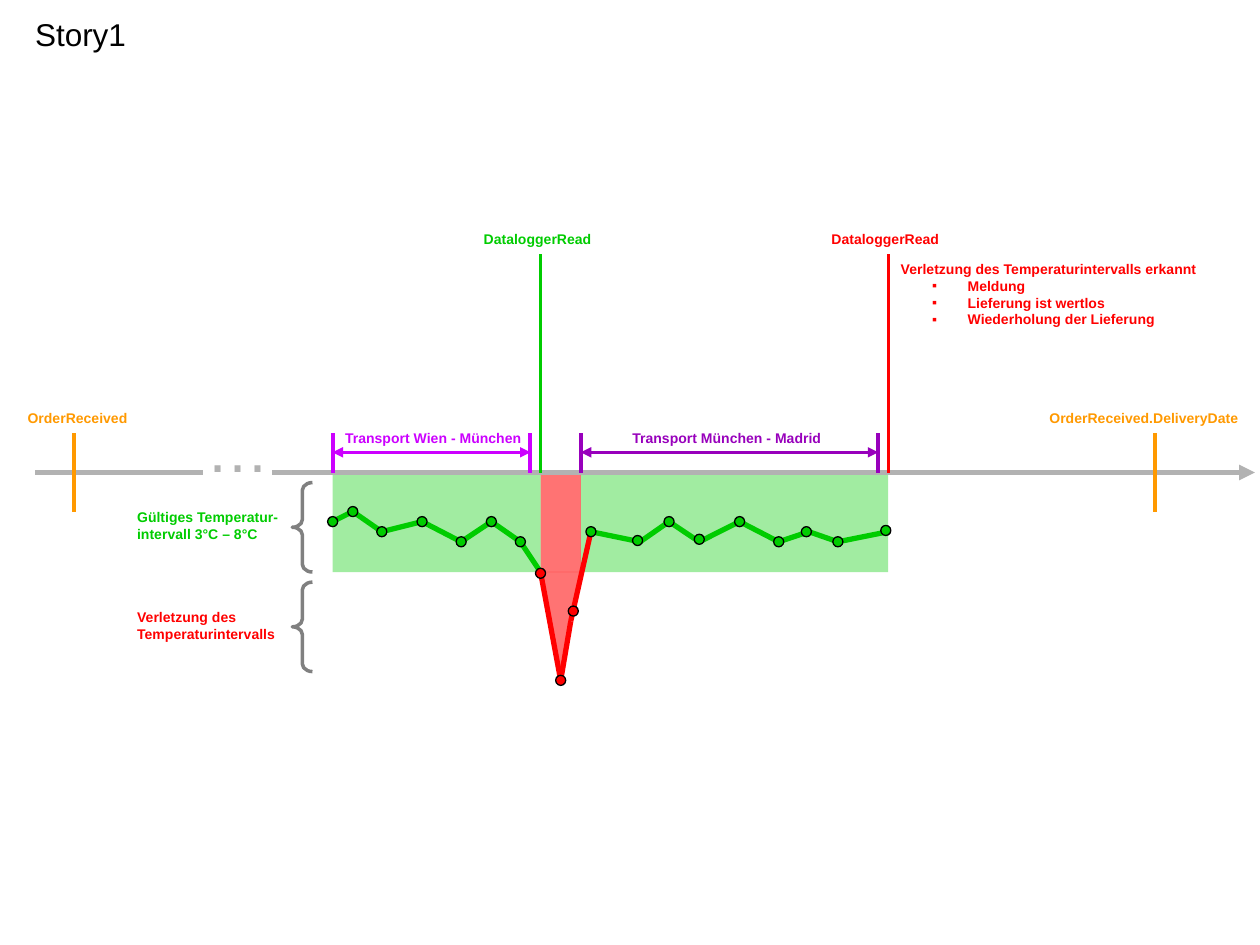
from itertools import pairwise

from lxml import etree
from pptx import Presentation
from pptx import util as u
from pptx.dml.color import RGBColor
from pptx.enum import shapes, text
from pptx.oxml.ns import qn

GREEN = RGBColor(0x00, 0xCC, 0x00)
RED = RGBColor(0xFF, 0x00, 0x00)
ORANGE = RGBColor(0xFF, 0x99, 0x00)
PINK = RGBColor(0xCC, 0x00, 0xFF)
PURPLE = RGBColor(0x98, 0x00, 0xBC)
SILVER = RGBColor(0xB2, 0xB2, 0xB2)
GRAY = RGBColor(0x80, 0x80, 0x80)
BLACK = RGBColor(0x00, 0x00, 0x00)

AXIS = 3.75
BAND = 0.79
DOT = 0.08
READINGS = [
    (0, 0.39), (0.16, 0.31), (0.39, 0.47), (0.71, 0.39), (1.02, 0.55),
    (1.26, 0.39), (1.49, 0.55), (1.65, 0.79), (1.81, 1.65), (1.89, 1.18),
    (2.05, 0.47), (2.44, 0.55), (2.67, 0.39), (2.91, 0.55), (3.23, 0.39),
    (3.54, 0.55), (3.78, 0.47), (4.01, 0.55), (4.41, 0.47),
]
VIOLATION = range(7, 10)
DOT_SHIFTS = {7: (0, 0.01), 9: (0.02, -0.08), 11: (-0.02, -0.01),
              13: (0, -0.02), 16: (-0.02, 0), 18: (-0.02, -0.01)}


def add_line(s, x1, y1, x2, y2, color, width, ends=()):
    """Draw a straight line with arrowheads at the named ends."""
    sp = s.shapes.add_connector(shapes.MSO_CONNECTOR.STRAIGHT,
                                *map(u.Inches, (x1, y1, x2, y2)))
    sp.line.color.rgb = color
    sp.line.width = u.Pt(width)
    ln = sp.line._get_or_add_ln()
    for end in ends:
        etree.SubElement(ln, qn(f"a:{end}"), type="triangle")
    etree.SubElement(sp._element.spPr, qn("a:effectLst"))


def add_area(s, kind, x, y, w, h, color=None, alpha=None, line=None, width=0.75):
    """Draw a preset shape with optional fill, transparency and outline."""
    sp = s.shapes.add_shape(kind, *map(u.Inches, (x, y, w, h)))
    sp.shadow.inherit = False
    if color is None:
        sp.fill.background()
    else:
        sp.fill.solid()
        sp.fill.fore_color.rgb = color
    if alpha:
        clr = sp._element.spPr.find(".//" + qn("a:srgbClr"))
        etree.SubElement(clr, qn("a:alpha"), val=str(alpha * 1000))
    if line is None:
        sp.line.fill.background()
    else:
        sp.line.color.rgb = line
        sp.line.width = u.Pt(width)
    return sp


def add_label(s, x, y, w, h, lines, color, size=8, bold=True, wrap=False):
    """Write one paragraph for each line and return the text frame."""
    tf = s.shapes.add_textbox(*map(u.Inches, (x, y, w, h))).text_frame
    tf.word_wrap = wrap
    tf.auto_size = text.MSO_AUTO_SIZE.SHAPE_TO_FIT_TEXT
    for i, line in enumerate(lines):
        p = tf.paragraphs[0] if i == 0 else tf.add_paragraph()
        r = p.add_run()
        r.text = line
        for name, value in {"name": "Arial", "size": u.Pt(size), "bold": bold}.items():
            setattr(r.font, name, value)
        r.font.color.rgb = color
    return tf


def add_bullet(p, color):
    """Turn a paragraph into a second-level bullet."""
    p.level = 1
    pPr = p._p.get_or_add_pPr()
    pPr.set("marL", str(u.Inches(0.5)))
    pPr.set("indent", str(u.Inches(-0.25)))
    clr = etree.SubElement(pPr, qn("a:buClr"))
    etree.SubElement(clr, qn("a:srgbClr"), val=str(color))
    etree.SubElement(pPr, qn("a:buFont"), typeface="Arial")
    etree.SubElement(pPr, qn("a:buChar"), char="▪")


def draw_bands(s, x, y):
    """Shade the valid range and the gap between the two transports."""
    rect = shapes.MSO_SHAPE.RECTANGLE
    for left, width, color, alpha in ((1.97, 2.44, GREEN, 37),
                                      (1.65, 0.32, RED, 55),
                                      (0, 1.65, GREEN, 37)):
        add_area(s, rect, x + left, y, width, BAND, color, alpha)


def draw_axis(s, x, y):
    """Draw the interrupted time axis."""
    add_line(s, x, y, x + 1.33, y, SILVER, 3)
    add_label(s, x + 1.26, y - 0.55, 0.7, 0.7, ["…"], SILVER, 36, False)
    add_line(s, x + 1.88, y, x + 9.68, y, SILVER, 3, ["tailEnd"])


def draw_order(s, x, y, name, left, width):
    """Mark an order event across the axis."""
    add_line(s, x, y - 0.31, x, y + 0.31, ORANGE, 2.25)
    add_label(s, left, y - 0.55, width, 0.24, [name], ORANGE)


def draw_transport(s, x, y, w, name, offset, label_width, color):
    """Draw a transport span with its end bars and label."""
    add_line(s, x, y - 0.16, x + w, y - 0.16, color, 1.5, ["headEnd", "tailEnd"])
    for bar in (x, x + w):
        add_line(s, bar, y - 0.31, bar, y, color, 2.25)
    add_label(s, x + offset, y - 0.39, label_width, 0.24, [name], color)


def draw_logger(s, x, y, color):
    """Mark a reading of the data logger above the axis."""
    add_line(s, x, y - 1.73, x, y, color, 2)
    add_label(s, x - 0.55, y - 1.97, 1.08, 0.24, ["DataloggerRead"], color)


def draw_alert(s, x, y):
    """List the consequences of the violation."""
    lines = ["Verletzung des Temperaturintervalls erkannt", " Meldung",
             " Lieferung ist wertlos", " Wiederholung der Lieferung"]
    tf = add_label(s, x, y, 2.95, 0.64, lines, RED, wrap=True)
    for p in tf.paragraphs[1:]:
        add_bullet(p, RED)


def draw_range(s, x, y, lines, color):
    """Draw a brace with the name of its temperature range."""
    sp = add_area(s, shapes.MSO_SHAPE.LEFT_BRACE, x + 1.33, y, 0.16, 0.71,
                  line=GRAY, width=2)
    sp.adjustments[0] = 0.38
    add_label(s, x, y + 0.16, 1.33, 0.37, lines, color)


def draw_readings(s, x, y):
    """Plot the temperature curve with a dot for each reading."""
    sp = add_area(s, shapes.MSO_SHAPE.ISOSCELES_TRIANGLE, x + 1.65, y + BAND,
                  0.31, 0.87, RED, 55)
    sp._element.spPr.find(qn("a:xfrm")).set("flipV", "1")
    for i, ((x1, y1), (x2, y2)) in enumerate(pairwise(READINGS)):
        color = RED if i in VIOLATION else GREEN
        add_line(s, x + x1, y + y1, x + x2, y + y2, color, 3)
    for i, (px, py) in enumerate(READINGS):
        dx, dy = DOT_SHIFTS.get(i, (0, 0))
        color = RED if i in VIOLATION else GREEN
        add_area(s, shapes.MSO_SHAPE.OVAL, x + px + dx - DOT / 2,
                 y + py + dy - DOT / 2, DOT, DOT, color, line=BLACK)


def main():
    """Build the slide and save it."""
    prs = Presentation()
    prs.slide_width, prs.slide_height = u.Inches(10), u.Inches(7.5)
    s = prs.slides.add_slide(prs.slide_layouts[6])
    draw_bands(s, 2.64, AXIS)
    draw_axis(s, 0.28, AXIS)
    draw_order(s, 9.17, AXIS, "OrderReceived.DeliveryDate", 8.23, 1.72)
    draw_order(s, 0.59, AXIS, "OrderReceived", 0.12, 1.02)
    draw_transport(s, 2.64, AXIS, 1.57, "Transport Wien - München", 0, 1.61, PINK)
    draw_transport(s, 4.61, AXIS, 2.36, "Transport München - Madrid", 0.31, 1.71, PURPLE)
    draw_alert(s, 7.05, 2.02)
    draw_logger(s, 7.05, AXIS, RED)
    draw_logger(s, 4.29, AXIS, GREEN)
    draw_range(s, 0.99, 3.83, ["Gültiges Temperatur-", "intervall 3°C – 8°C"], GREEN)
    draw_range(s, 0.99, 4.62, ["Verletzung des", "Temperaturintervalls"], RED)
    draw_readings(s, 2.64, AXIS)
    add_label(s, 0.18, 0.07, 0.92, 0.4, ["Story1"], BLACK, 18, False)
    prs.save("out.pptx")


if __name__ == "__main__":
    main()
